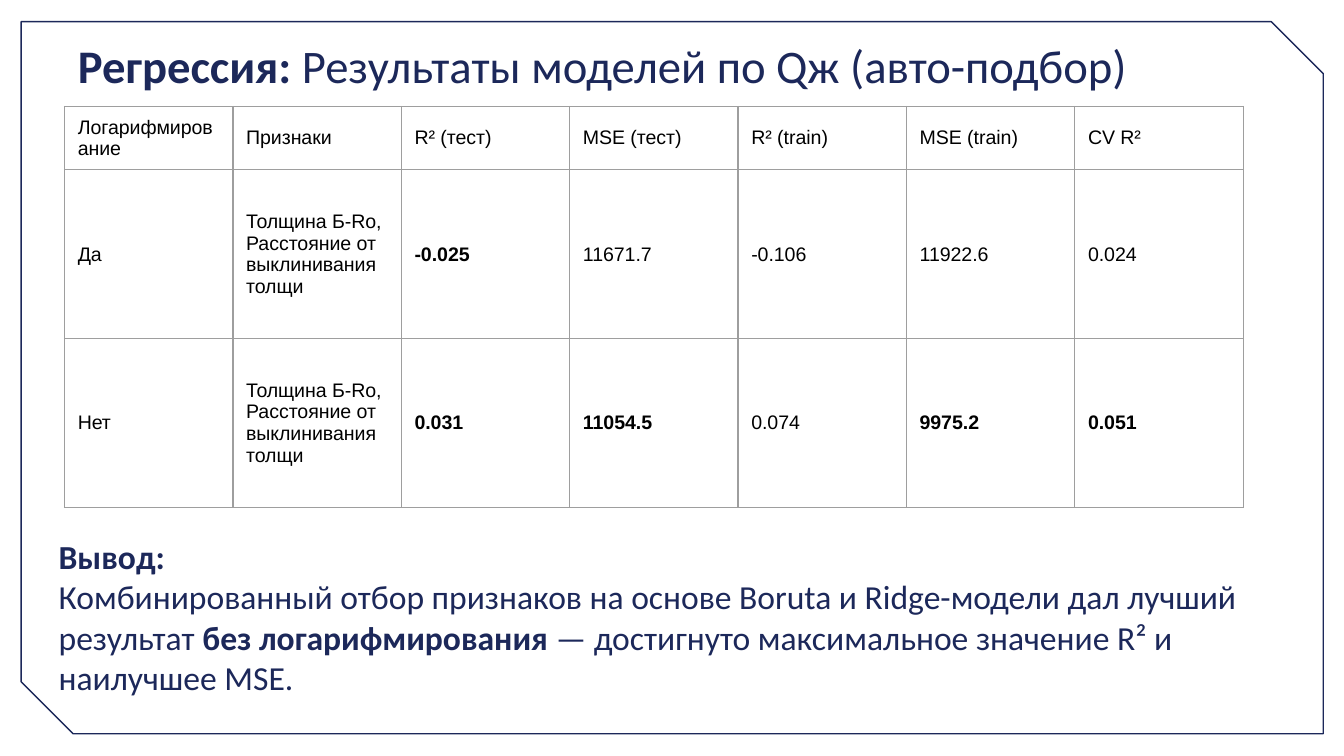
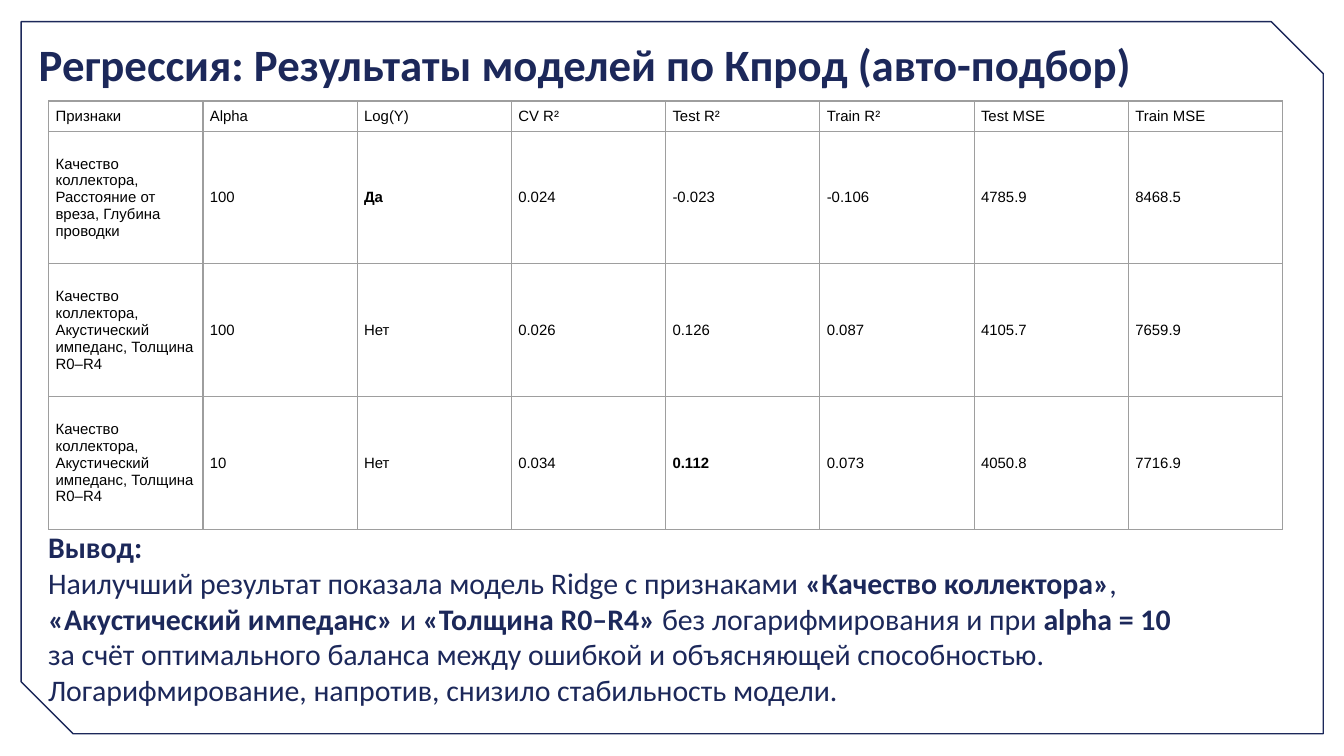
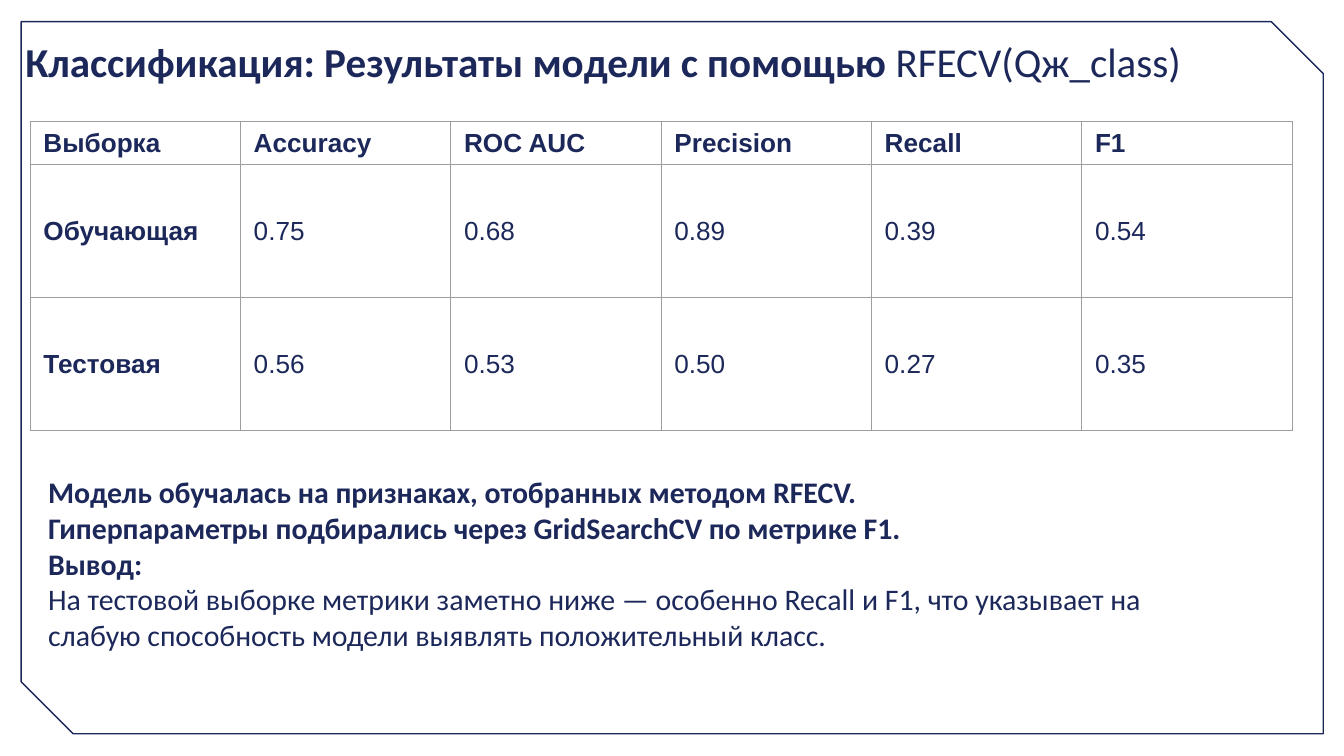
"""Builds three slides with the results of regression and classification models."""
from lxml import etree
from pptx import Presentation
from pptx.dml.color import RGBColor
from pptx.enum.shapes import MSO_SHAPE
from pptx.enum.text import MSO_ANCHOR, MSO_AUTO_SIZE, PP_ALIGN
from pptx.oxml.ns import qn
from pptx.util import Cm, Pt

SNIP = MSO_SHAPE.SNIP_2_DIAG_RECTANGLE
TOP, MID = MSO_ANCHOR.TOP, MSO_ANCHOR.MIDDLE
LEFT = PP_ALIGN.LEFT
FIXED = MSO_AUTO_SIZE.NONE


def tint(code):
    return RGBColor.from_string(code)


def write(frame, text, size, font, color, indent=None):
    """Write one paragraph a line; text between asterisks is bold."""
    for i, line in enumerate(text.split("\n")):
        para = frame.add_paragraph() if i else frame.paragraphs[0]
        para.alignment = LEFT
        if indent:
            props = para._p.get_or_add_pPr()
            props.set("marL", str(Cm(indent[0])))
            props.set("indent", str(Cm(indent[1])))
        for j, part in enumerate(line.split("*")):
            if part:
                run = para.add_run()
                run.text = part
                run.font.size = Pt(size)
                run.font.name = font
                run.font.bold = j % 2 == 1
                run.font.color.rgb = tint(color)


class Deck:
    """Holds the style and the current slide."""
    navy, black, grey = "1C285A", "000000", "9E9E9E"
    head, grid = "Calibri", "Arial"
    thin = Pt(0.75)
    pad = Cm(0.25)

    def __init__(self):
        self.file = Presentation()
        self.file.slide_width, self.file.slide_height = Cm(25.4), Cm(14.29)
        self.base = self.file.slide_layouts[5]
        self.slide = None

    def page(self):
        self.slide = self.file.slides.add_slide(self.base)

    def border(self):
        """Draw the page border and move it to the shared layout."""
        shape = self.slide.shapes.add_shape(SNIP, Cm(0.4), Cm(0.41), Cm(24.61), Cm(13.46))
        shape.adjustments[0], shape.adjustments[1] = 0, 0.073
        shape.shadow.inherit = False
        shape.fill.background()
        shape.line.color.rgb = tint(self.navy)
        shape.line.width = self.thin
        self.base.shapes.element.insert(2, shape.element)

    def block(self, shape, anchor):
        """Set the wrap, anchor and margins of a text shape."""
        frame = shape.text_frame
        frame.word_wrap = True
        frame.auto_size = FIXED
        frame.vertical_anchor = anchor
        frame.margin_left = frame.margin_right = self.pad
        frame.margin_top = frame.margin_bottom = self.pad
        return frame

    def title(self, text, left, width, size):
        shape = self.slide.shapes.title
        shape.left, shape.top = Cm(left), Cm(0.44)
        shape.width, shape.height = Cm(width), Cm(1.6)
        write(self.block(shape, TOP), text, size, self.head, self.navy)

    def note(self, text, left, top, size):
        shape = self.slide.shapes.add_textbox(Cm(left), Cm(top), Cm(24.97), Cm(1.37))
        write(self.block(shape, MID), text, size, self.head, self.navy, indent=(1.27, -0.84))

    def edge(self, cell):
        """Give a cell thin grey lines on all sides."""
        props = cell._tc.get_or_add_tcPr()
        for i, side in enumerate(("lnL", "lnR", "lnT", "lnB")):
            line = etree.Element(qn("a:" + side), w=str(self.thin))
            fill = etree.SubElement(line, qn("a:solidFill"))
            etree.SubElement(fill, qn("a:srgbClr"), val=self.grey)
            props.insert(i, line)

    def table(self, rows, left, top, width, first, other, size, color, pads=(0.25, 0.13)):
        count = len(rows[0])
        high = first + other * (len(rows) - 1)
        table = self.slide.shapes.add_table(
            len(rows), count, Cm(left), Cm(top), Cm(width), Cm(high)).table
        table.first_row = table.horz_banding = False
        for col in table.columns:
            col.width = Cm(width / count)
        for i, row in enumerate(rows):
            table.rows[i].height = Cm(other if i else first)
            for j, text in enumerate(row):
                cell = table.cell(i, j)
                cell.vertical_anchor = MID
                cell.margin_left = cell.margin_right = Cm(pads[0])
                cell.margin_top = cell.margin_bottom = Cm(pads[1])
                cell.fill.background()
                self.edge(cell)
                write(cell.text_frame, text, size, self.grid, color)


def main():
    deck = Deck()

    deck.page()
    deck.border()
    deck.title("*Регрессия: *Результаты моделей по Qж (авто-подбор)", 1.22, 22.94, 25)
    deck.note("*Вывод:*\n"
              "Комбинированный отбор признаков на основе Boruta и Ridge-модели дал лучший\n"
              "результат *без логарифмирования* — достигнуто максимальное значение R² и\n"
              "наилучшее MSE.", 0.43, 10.97, 18)
    signs = "Толщина Б-Ro, Расстояние от выклинивания толщи"
    deck.table([
        ["Логарифмирование", "Признаки", "R² (тест)", "MSE (тест)",
         "R² (train)", "MSE (train)", "CV R²"],
        ["Да", signs, "*-0.025*", "11671.7", "-0.106", "11922.6", "0.024"],
        ["Нет", signs, "*0.031*", "*11054.5*", "0.074", "*9975.2*", "*0.051*"],
    ], 1.22, 2.01, 22.28, 1.2, 3.19, 10.5, deck.black)

    deck.page()
    deck.title("*Регрессия: Результаты моделей по Кпрод (авто-подбор)*", 0.48, 23.75, 24)
    deck.note("*Вывод:*\n"
              "Наилучший результат показала модель Ridge с признаками *«Качество коллектора»*,\n"
              "*«Акустический импеданс»* и *«Толщина R0–R4» *без логарифмирования и при *alpha = 10*\n"
              "за счёт оптимального баланса между ошибкой и объясняющей способностью.\n"
              "Логарифмирование, напротив, снизило стабильность модели.", 0.23, 11, 16)
    signs = "Качество коллектора, Акустический импеданс, Толщина R0–R4"
    deck.table([
        ["Признаки", "Alpha", "Log(Y)", "CV R²", "Test R²", "Train R²", "Test MSE", "Train MSE"],
        ["Качество коллектора, Расстояние от вреза, Глубина проводки",
         "100", "*Да*", "0.024", "-0.023", "-0.106", "4785.9", "8468.5"],
        [signs, "100", "Нет", "0.026", "0.126", "0.087", "4105.7", "7659.9"],
        [signs, "10", "Нет", "0.034", "*0.112*", "0.073", "4050.8", "7716.9"],
    ], 0.92, 1.91, 23.32, 0.57, 2.51, 8, deck.black, pads=(0.13, 0.08))

    deck.page()
    deck.title("*Классификация: Результаты модели с помощью *RFECV(Qж_class)", 0.23, 24.97, 22)
    deck.note("*Модель обучалась на признаках, отобранных методом RFECV.*\n"
              "*Гиперпараметры подбирались через GridSearchCV по метрике F1.*\n"
              "*Вывод:*\n"
              "На тестовой выборке метрики заметно ниже — особенно Recall и F1, что указывает на\n"
              "слабую способность модели выявлять положительный класс.", 0.23, 9.96, 16)
    deck.table([
        ["*Выборка*", "*Accuracy*", "*ROC AUC*", "*Precision*", "*Recall*", "*F1*"],
        ["*Обучающая*", "0.75", "0.68", "0.89", "0.39", "0.54"],
        ["*Тестовая*", "0.56", "0.53", "0.50", "0.27", "0.35"],
    ], 0.57, 2.3, 23.85, 0.81, 2.51, 14, deck.navy)

    deck.file.save("out.pptx")


if __name__ == "__main__":
    main()
